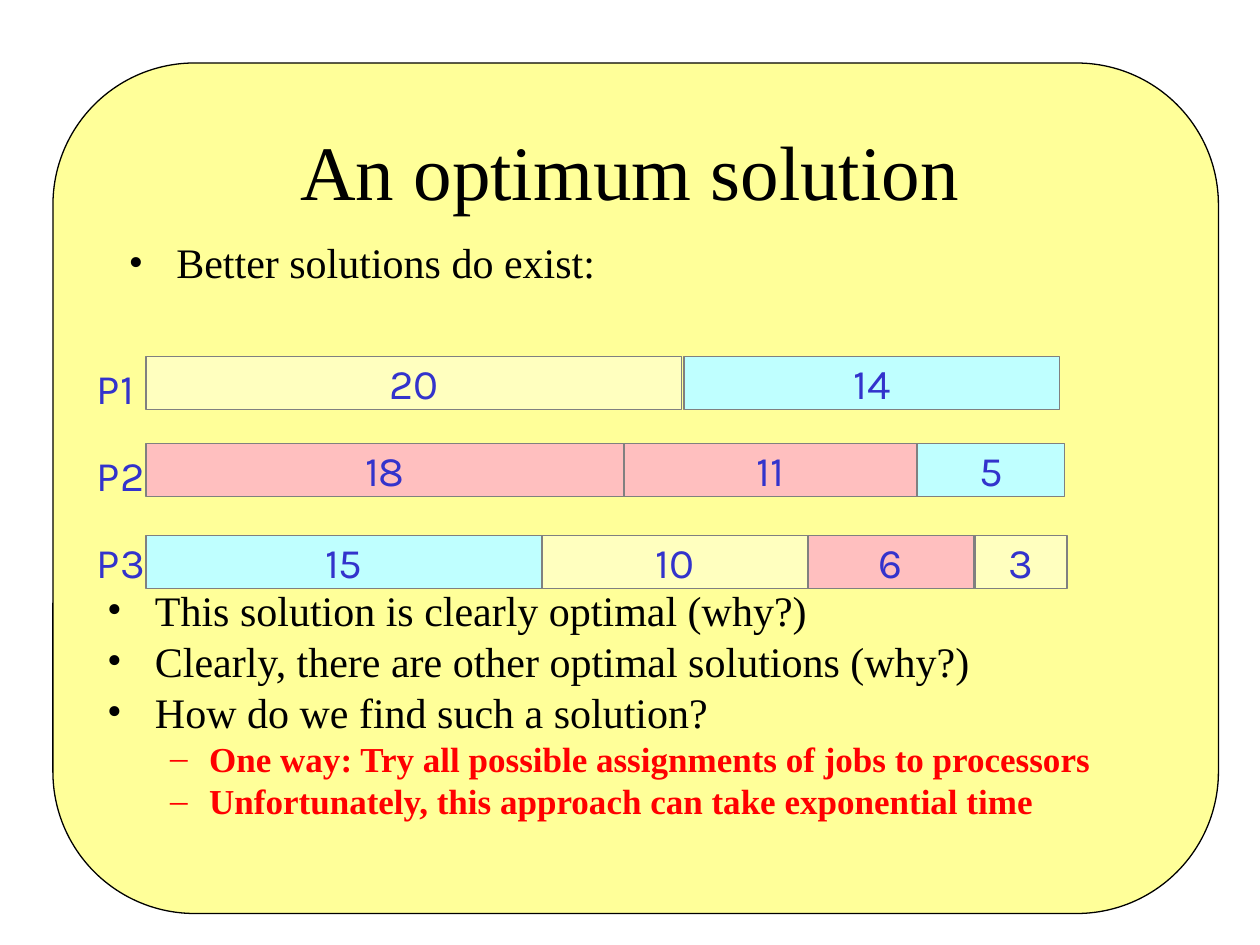
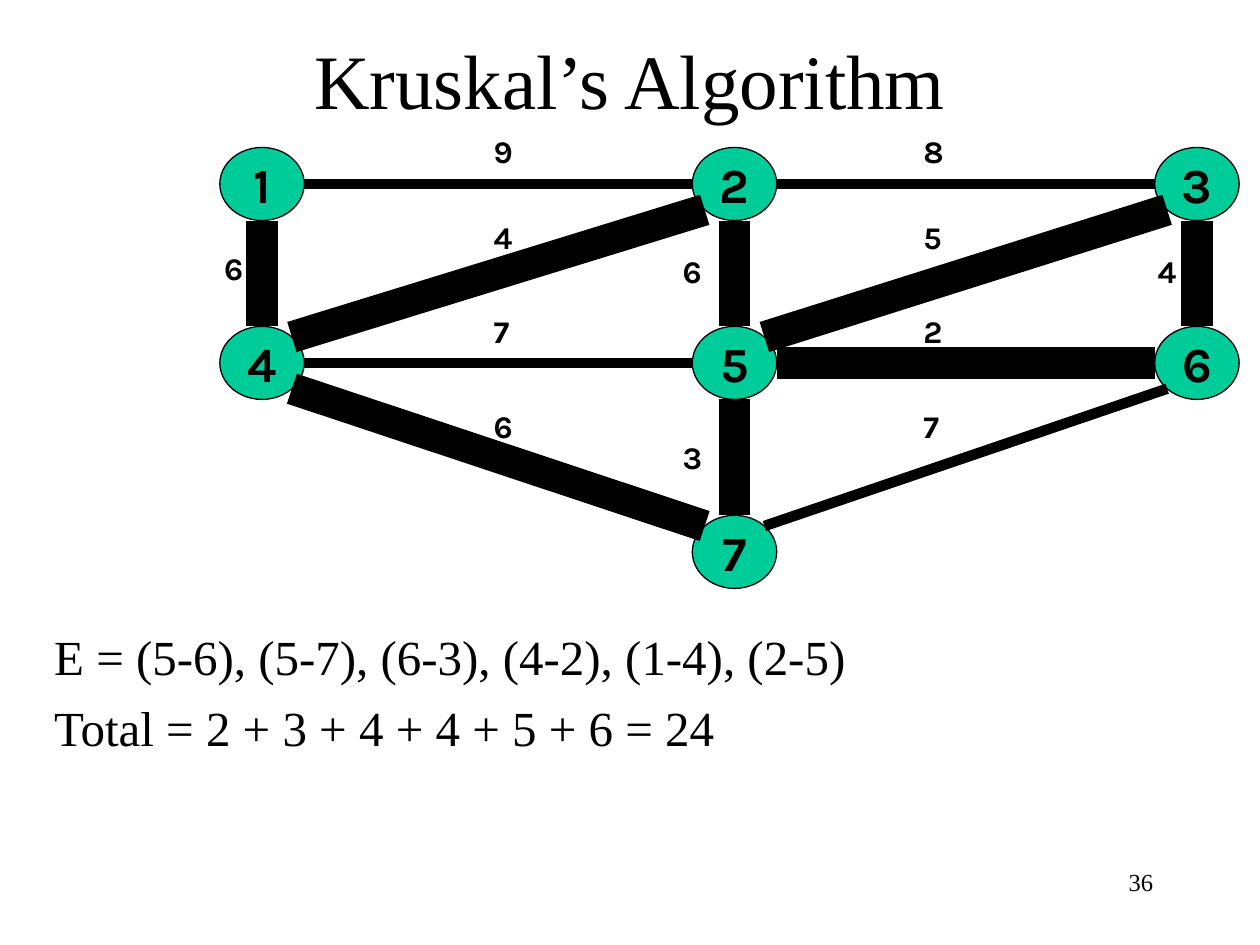
from dataclasses import dataclass
from math import sqrt

from lxml.etree import SubElement
from pptx import Presentation
from pptx.dml.color import RGBColor
from pptx.enum.shapes import MSO_CONNECTOR as Connector, MSO_SHAPE as Shape
from pptx.enum.text import MSO_ANCHOR as Anchor, MSO_AUTO_SIZE as AutoSize, PP_ALIGN as Align
from pptx.oxml.ns import qn
from pptx.util import Inches, Pt


@dataclass(frozen=True)
class Theme:
    serif: str = "Times New Roman"
    sans: str = "Karla"
    ink: str = "000000"
    alert: str = "FF0000"
    job_text: str = "3333CC"
    panel: str = "FFFF99"
    node: str = "00CC99"
    bar_line: str = "808080"
    yellow: str = "FFFFBF"
    pink: str = "FFBFBF"
    cyan: str = "BFFFFF"
    title: int = 44
    large: int = 28
    body: int = 24
    sub: int = 20
    weight: int = 18
    footer: int = 14


THEME = Theme()

# Content: schedule slide
SCHEDULE_TITLE = "An optimum solution"
INTRO = [("Better solutions do exist:", 0)]
REMARKS = [
    ("This solution is clearly optimal (why?)", 0),
    ("Clearly, there are other optimal solutions (why?)", 0),
    ("How do we find such a solution?", 0),
    ("One way: Try all possible assignments of jobs to processors", 1),
    ("Unfortunately, this approach can take exponential time", 1),
]
# Processor, top of its row, jobs as (length, left, right, colour)
PROCESSORS = [
    ("P1", 2.83, [(20, 1.16, 5.41, THEME.yellow), (14, 5.43, 8.41, THEME.cyan)]),
    ("P2", 3.52, [(18, 1.16, 4.95, THEME.pink), (11, 4.95, 7.28, THEME.pink),
                  (5, 7.28, 8.45, THEME.cyan)]),
    ("P3", 4.25, [(15, 1.16, 4.3, THEME.cyan), (10, 4.3, 6.41, THEME.yellow),
                  (6, 6.41, 7.73, THEME.pink), (3, 7.74, 8.47, THEME.yellow)]),
]
BAR_HEIGHT = 0.42

# Content: graph slide
GRAPH_TITLE = "Kruskal’s Algorithm"
RESULT = [
    ("E = (5-6), (5-7), (6-3), (4-2), (1-4), (2-5)", 0),
    ("Total = 2 + 3 + 4 + 4 + 5 + 6 = 24", 0),
]
PAGE_NUMBER = "36"
COLUMNS = (2.08, 5.83, 9.5)
ROWS = (1.46, 2.88, 4.38)
NODE_WIDTH, NODE_HEIGHT = 0.67, 0.58
# Node number: (column, row)
NODES = {1: (0, 0), 2: (1, 0), 3: (2, 0), 4: (0, 1), 5: (1, 1), 6: (2, 1), 7: (1, 2)}
# From, to, weight, left and top of the weight, chosen
EDGES = [
    (1, 2, 9, 3.82, 1, False),
    (2, 3, 8, 7.23, 1, False),
    (4, 5, 7, 3.82, 2.43, False),
    (7, 6, 7, 7.23, 3.18, False),
    (5, 6, 2, 7.23, 2.43, True),
    (5, 7, 3, 5.32, 3.43, True),
    (6, 3, 4, 9.09, 1.95, True),
    (4, 2, 4, 3.82, 1.68, True),
    (5, 3, 5, 7.23, 1.68, True),
    (5, 2, 6, 5.32, 1.95, True),
    (1, 4, 6, 1.68, 1.93, True),
    (4, 7, 6, 3.82, 3.18, True),
]
THIN, THICK = 6, 18


# Shared helpers
def apply(target, values):
    for attribute, value in values.items():
        setattr(target, attribute, value)


def inches(*lengths):
    return [Inches(length) for length in lengths]


def style_line(line, color, width):
    line.color.rgb = RGBColor.from_string(color)
    line.width = Pt(width)


def write(paragraph, text, size, color=THEME.ink, font=THEME.serif, bold=False, **layout):
    run = paragraph.add_run()
    run.text = str(text)
    apply(run.font, {"name": font, "size": Pt(size), "bold": bold})
    run.font.color.rgb = RGBColor.from_string(color)
    apply(paragraph, layout)


def place(holder, box):
    apply(holder, dict(zip(("left", "top", "width", "height"), inches(*box))))
    holder.text_frame.auto_size = AutoSize.NONE
    return holder.text_frame


def add_title(slide, text, box):
    frame = place(slide.shapes.title, box)
    frame.vertical_anchor = Anchor.MIDDLE
    write(frame.paragraphs[0], text, THEME.title, alignment=Align.CENTER)


def add_solid(slide, kind, box, fill, line, width):
    solid = slide.shapes.add_shape(kind, *inches(*box))
    solid.shadow.inherit = False
    solid.fill.solid()
    solid.fill.fore_color.rgb = RGBColor.from_string(fill)
    style_line(solid.line, line, width)
    return solid


def add_centred(solid, text, size, color, bold=False):
    apply(solid.text_frame, {"word_wrap": False, "vertical_anchor": Anchor.MIDDLE})
    write(solid.text_frame.paragraphs[0], text, size, color, THEME.sans, bold,
          alignment=Align.CENTER)


def add_text(slide, box, lines, wrap, *style, **layout):
    frame = slide.shapes.add_textbox(*inches(*box)).text_frame
    frame.word_wrap = wrap
    for index, line in enumerate(lines):
        paragraph = frame.add_paragraph() if index else frame.paragraphs[0]
        write(paragraph, line, *style, **layout)


def set_bullet(paragraph, symbol, color, margin, indent):
    props = paragraph._p.get_or_add_pPr()
    props.set("marL", str(Inches(margin)))
    props.set("indent", str(Inches(indent)))
    if symbol:
        tint = SubElement(props, qn("a:buClr"))
        SubElement(tint, qn("a:srgbClr"), val=color)
        SubElement(props, qn("a:buFont"), typeface=THEME.serif)
        SubElement(props, qn("a:buChar"), char=symbol)
    else:
        SubElement(props, qn("a:buNone"))


def add_list(holder, box, items, size, before, spacing=1.0, bulleted=True):
    levels = (
        dict(size=size, color=THEME.ink, bold=False, before=before,
             bullet=("•" if bulleted else None, THEME.ink, 0.38, -0.38)),
        dict(size=THEME.sub, color=THEME.alert, bold=True, before=5,
             bullet=("–", THEME.alert, 0.81, -0.31)),
    )
    frame = place(holder, box)
    for index, (text, level) in enumerate(items):
        look = levels[level]
        paragraph = frame.add_paragraph() if index else frame.paragraphs[0]
        write(paragraph, text, look["size"], look["color"], bold=look["bold"], level=level,
              line_spacing=spacing, space_before=Pt(look["before"]), alignment=Align.LEFT)
        set_bullet(paragraph, *look["bullet"])


# Schedule slide
def build_schedule(deck):
    slide = deck.slides.add_slide(deck.slide_layouts[3])
    panel = add_solid(slide, Shape.ROUNDED_RECTANGLE, (0.42, 0.5, 9.25, 6.75),
                      THEME.panel, THEME.ink, 0.75)
    slide.shapes._spTree.insert(2, panel._element)  # behind the title and lists
    add_title(slide, SCHEDULE_TITLE, (0.75, 0.78, 8.5, 1.14))
    remarks, intro = slide.placeholders[1], slide.placeholders[2]
    add_list(remarks, (0.75, 4.67, 8.5, 2), REMARKS, THEME.body, 6, spacing=0.8)
    add_list(intro, (0.92, 1.83, 8.5, 0.5), INTRO, THEME.body, 6)

    for _, top, jobs in PROCESSORS:
        for length, left, right, color in jobs:
            bar = add_solid(slide, Shape.RECTANGLE, (left, top, right - left, BAR_HEIGHT),
                            color, THEME.bar_line, 1)
            add_centred(bar, length, THEME.body, THEME.job_text)
    add_text(slide, (0.67, 2.75, 0.66, 1.95), [name for name, *_ in PROCESSORS], True,
             THEME.body, THEME.job_text, THEME.sans, line_spacing=1.2, space_before=Pt(15))


# Graph slide
def centre(node):
    column, row = NODES[node]
    return COLUMNS[column], ROWS[row]


def rim_point(node, toward):
    """Point on the node's rim, on the side or diagonal facing another node."""
    (x, y), (other_x, other_y) = centre(node), centre(toward)
    across = (other_x > x) - (other_x < x)
    down = (other_y > y) - (other_y < y)
    reach = sqrt(0.5) if across and down else 1
    return x + across * reach * NODE_WIDTH / 2, y + down * reach * NODE_HEIGHT / 2


def add_edge(slide, start, end, width):
    edge = slide.shapes.add_connector(
        Connector.STRAIGHT, *inches(*rim_point(start, end), *rim_point(end, start)))
    style_line(edge.line, THEME.ink, width)
    SubElement(edge._element.spPr, qn("a:effectLst"))


def build_graph(deck):
    slide = deck.slides.add_slide(deck.slide_layouts[1])
    add_title(slide, GRAPH_TITLE, (0.33, 0, 9.34, 1.25))
    add_list(slide.placeholders[1], (0.33, 4.92, 9.34, 2.25), RESULT, THEME.large, 7,
             bulleted=False)
    add_text(slide, (7.17, 6.83, 2.08, 0.5), [PAGE_NUMBER], True, THEME.footer,
             alignment=Align.RIGHT)

    for number in NODES:
        x, y = centre(number)
        box = (x - NODE_WIDTH / 2, y - NODE_HEIGHT / 2, NODE_WIDTH, NODE_HEIGHT)
        node = add_solid(slide, Shape.OVAL, box, THEME.node, THEME.ink, 0.75)
        add_centred(node, number, THEME.large, THEME.ink, bold=True)
    for _, _, weight, left, top, _ in EDGES:
        add_text(slide, (left, top, 0.34, 0.4), [weight], False,
                 THEME.weight, THEME.ink, THEME.sans, True)
    for start, end, _, _, _, chosen in EDGES:
        add_edge(slide, start, end, THICK if chosen else THIN)


def main():
    deck = Presentation()
    apply(deck, {"slide_width": Inches(10), "slide_height": Inches(7.5)})
    build_schedule(deck)
    build_graph(deck)
    deck.save("out.pptx")


if __name__ == "__main__":
    main()
